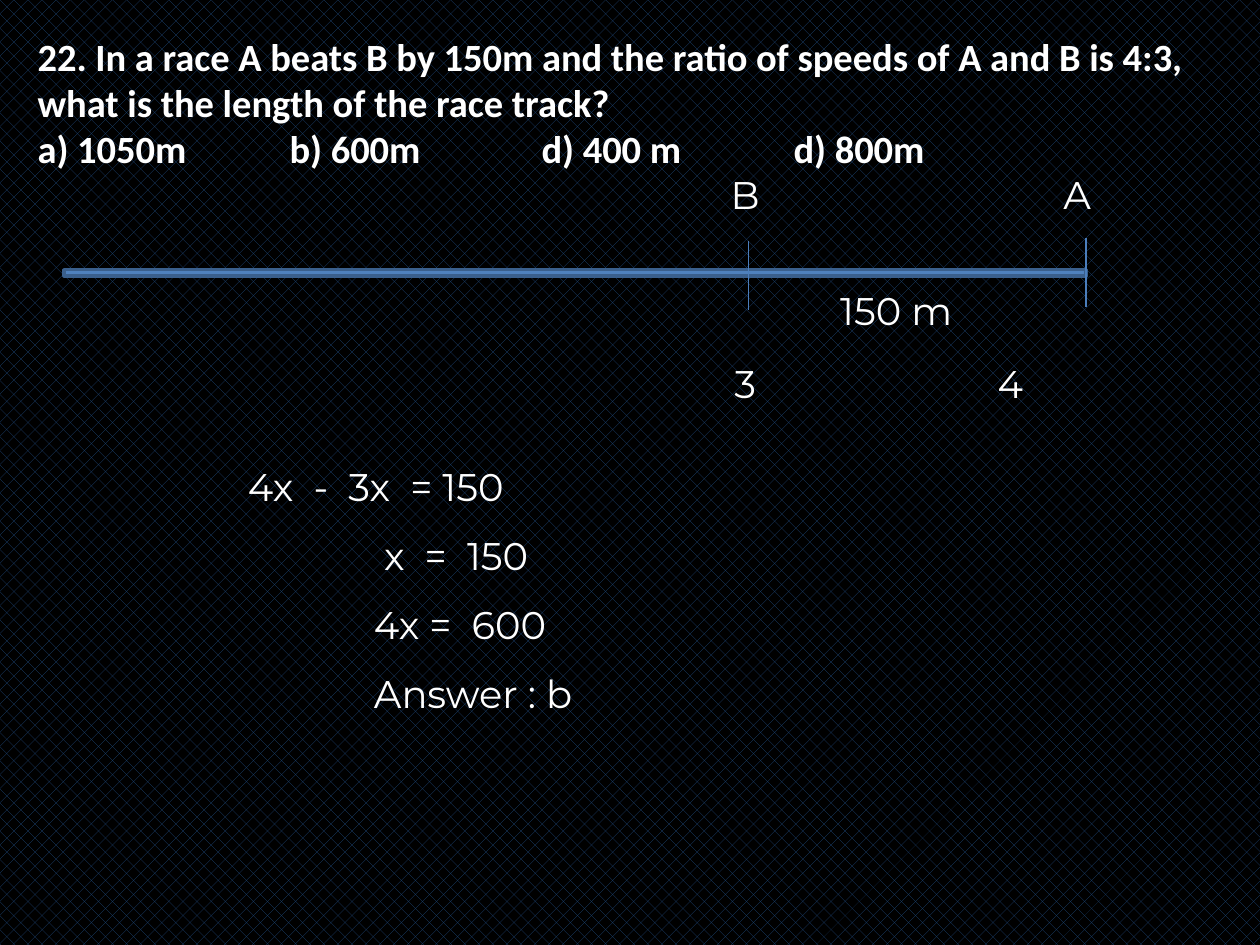
from dataclasses import dataclass

import pptx
import pptx.dml.color
import pptx.enum.dml
import pptx.enum.shapes
import pptx.enum.text
import pptx.oxml.ns
import pptx.util
from lxml import etree
from pptx.util import Inches

COLORS = {
    "background": "000000",
    "pattern": "1F497D",
    "text": "FFFFFF",
    "track": "4F81BD",
    "track_edge": "3A5F8C",
    "mark": "4B7EBC",
}


@dataclass
class Line:
    text: str
    tabs: tuple[float, ...] = ()


@dataclass
class Note:
    left: float
    top: float
    width: float
    height: float
    lines: list[Line]
    font: str = "Montserrat"
    bold: bool = False
    spacing: float = 1.0
    wrap: bool = True


@dataclass
class Mark:
    x: float
    top: float


NOTES = [
    Note(0.2, 0.21, 9.61, 1.21, [
        Line("22. In a race A beats B by 150m and the ratio of speeds of A and B is 4:3, "
             "what is the length of the race track?"),
        Line("a) 1050m\tb) 600m\td) 400 m\td) 800m", (2, 4, 6)),
    ], font="Calibri", bold=True),
    Note(6.57, 2.23, 1.34, 0.47, [Line("150 m")]),
    Note(5.7, 1.31, 0.55, 0.47, [Line("B")], wrap=False),
    Note(8.34, 1.31, 0.51, 0.47, [Line("A")]),
    Note(5.73, 2.81, 3.13, 0.47, [Line("3\t4", (2.09,))]),
    Note(1.87, 3.44, 3.13, 2.27, [
        Line("4x  -  3x  = 150"),
        Line("\tx  =  150", (1.08,)),
        Line("\t4x =  600", (1,)),
        Line("\tAnswer : b", (1,)),
    ], spacing=1.5),
]
MARKS = [Mark(5.94, 1.91), Mark(8.62, 1.89)]
MARK_HEIGHT = 0.55


def color(name: str) -> pptx.dml.color.RGBColor:
    return pptx.dml.color.RGBColor.from_string(COLORS[name])


def add_tab_stops(paragraph, stops: tuple[float, ...]) -> None:
    if not stops:
        return
    qn = pptx.oxml.ns.qn
    tab_list = etree.SubElement(paragraph._p.get_or_add_pPr(), qn("a:tabLst"))
    for stop in stops:
        etree.SubElement(tab_list, qn("a:tab"), pos=str(Inches(stop)), algn="l")


def draw_note(slide, note: Note) -> None:
    box = slide.shapes.add_textbox(
        Inches(note.left), Inches(note.top), Inches(note.width), Inches(note.height))
    frame = box.text_frame
    frame.word_wrap = note.wrap
    frame.auto_size = pptx.enum.text.MSO_AUTO_SIZE.SHAPE_TO_FIT_TEXT
    for index, line in enumerate(note.lines):
        paragraph = frame.add_paragraph() if index else frame.paragraphs[0]
        paragraph.text = line.text
        paragraph.line_spacing = note.spacing
        add_tab_stops(paragraph, line.tabs)
        paragraph.font.name = note.font
        paragraph.font.size = pptx.util.Pt(22)
        paragraph.font.bold = note.bold
        paragraph.font.color.rgb = color("text")


def draw_track(slide) -> None:
    track = slide.shapes.add_shape(
        pptx.enum.shapes.MSO_SHAPE.RECTANGLE,
        Inches(0.51), Inches(2.14), Inches(8.11), Inches(0.05))
    track.shadow.inherit = False
    track.fill.solid()
    track.fill.fore_color.rgb = color("track")
    track.line.color.rgb = color("track_edge")
    track.line.width = pptx.util.Pt(2)


def draw_mark(slide, mark: Mark) -> None:
    tick = slide.shapes.add_connector(
        pptx.enum.shapes.MSO_CONNECTOR.STRAIGHT,
        Inches(mark.x), Inches(mark.top), Inches(mark.x), Inches(mark.top + MARK_HEIGHT))
    tick.line.color.rgb = color("mark")
    tick.line.width = pptx.util.Pt(0.75)
    etree.SubElement(tick._element.spPr, pptx.oxml.ns.qn("a:effectLst"))


def main() -> None:
    deck = pptx.Presentation()
    deck.slide_width, deck.slide_height = Inches(10), Inches(7.5)
    slide = deck.slides.add_slide(deck.slide_layouts[6])

    backdrop = slide.background.fill
    backdrop.patterned()
    backdrop.pattern = pptx.enum.dml.MSO_PATTERN.PERCENT_25
    backdrop.fore_color.rgb = color("pattern")
    backdrop.back_color.rgb = color("background")

    draw_track(slide)
    for mark in MARKS:
        draw_mark(slide, mark)
    for note in NOTES:
        draw_note(slide, note)
    deck.save("out.pptx")


if __name__ == "__main__":
    main()
